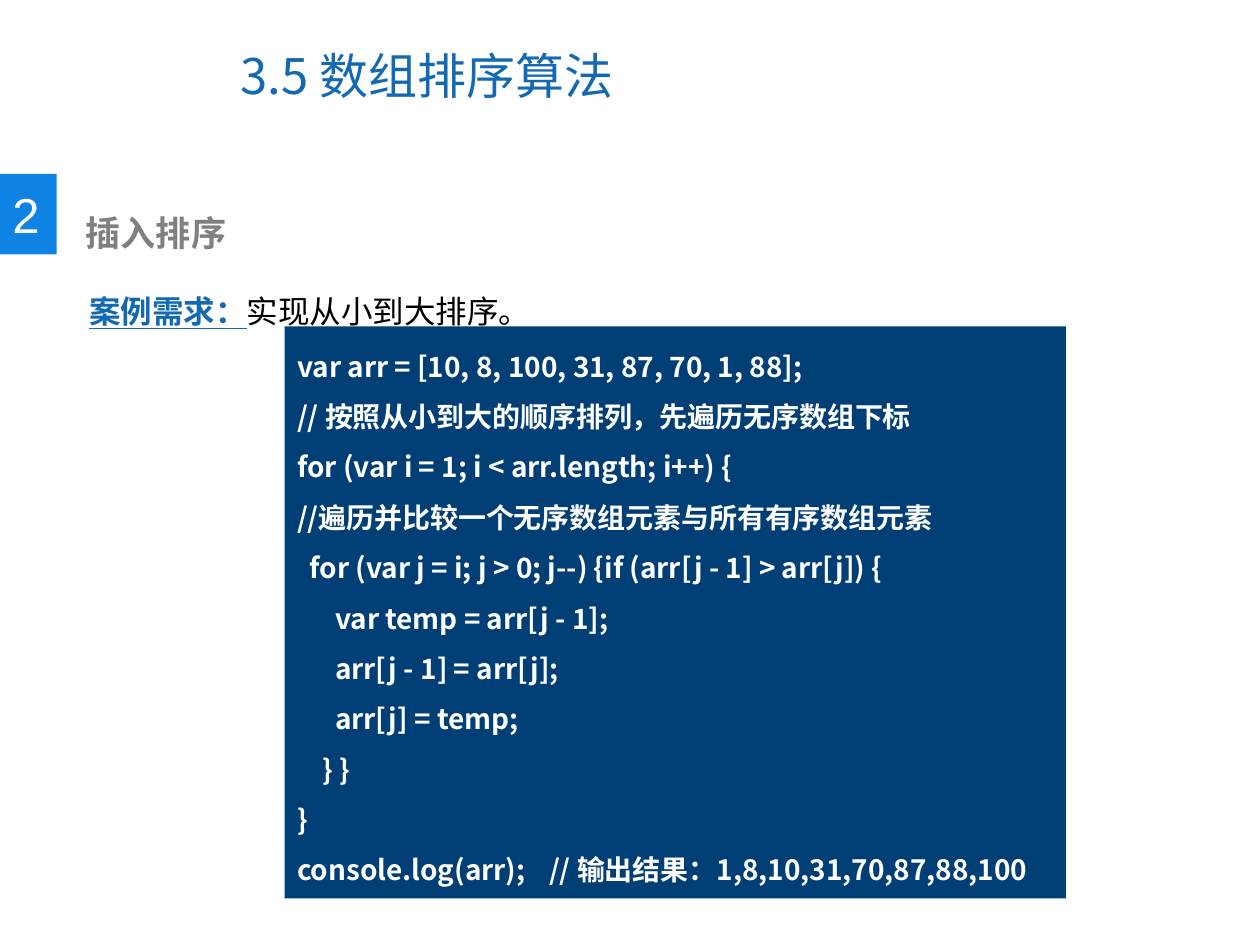
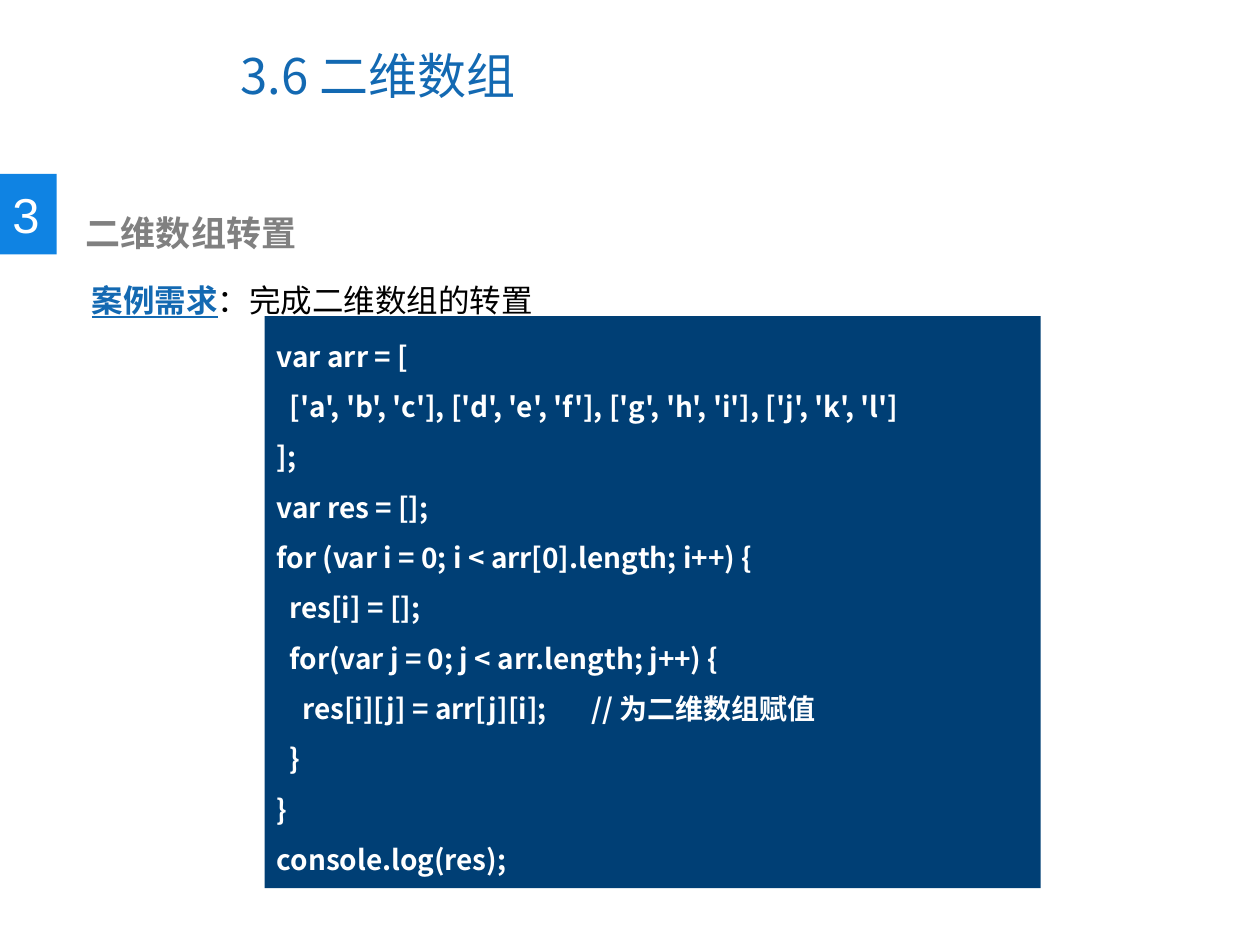
import pptx
import pptx.util
import pptx.dml.color
import pptx.enum.shapes
import pptx.enum.text
import pptx.oxml.ns
from lxml import etree

Pt = pptx.util.Pt
RECT = pptx.enum.shapes.MSO_SHAPE.RECTANGLE
LEFT = pptx.enum.text.PP_ALIGN.LEFT
TOP = pptx.enum.text.MSO_ANCHOR.TOP
MID = pptx.enum.text.MSO_ANCHOR.MIDDLE
GROW = pptx.enum.text.MSO_AUTO_SIZE.SHAPE_TO_FIT_TEXT
HAN = "Noto Sans CJK SC"
rgb = pptx.dml.color.RGBColor.from_string

# Shared colours
BLUE, BADGE, NAVY = "1369B2", "0F83E3", "003F75"
GREY, BLACK, WHITE = "808080", "000000", "FFFFFF"


def style(run, size, color, face=HAN, bold=False, line=False):
    font = run.font
    font.size, font.name = Pt(size), face
    font.bold, font.underline = bold, line
    font.color.rgb = rgb(color)
    tag = pptx.oxml.ns.qn("a:ea")
    etree.SubElement(font._element, tag).set("typeface", HAN)


def block(slide, box, fill=None):
    place = [Pt(v) for v in box]
    if fill:
        shape = slide.shapes.add_shape(RECT, *place)
        shape.shadow.inherit = False
        shape.fill.solid()
        shape.fill.fore_color.rgb = rgb(fill)
        shape.line.fill.background()
    else:
        shape = slide.shapes.add_textbox(*place)
    frame = shape.text_frame
    frame.word_wrap, frame.vertical_anchor = True, TOP
    return frame


# Slide content
sort_code = """var arr = [10, 8, 100, 31, 87, 70, 1, 88];
// 按照从小到大的顺序排列，先遍历无序数组下标
for (var i = 1; i < arr.length; i++) {
//遍历并比较一个无序数组元素与所有有序数组元素
  for (var j = i; j > 0; j--) {if (arr[j - 1] > arr[j]) {
      var temp = arr[j - 1];
      arr[j - 1] = arr[j];
      arr[j] = temp;
    } }
}
console.log(arr);\t// 输出结果：1,8,10,31,70,87,88,100"""

turn_code = """var arr = [
  ['a', 'b', 'c'], ['d', 'e', 'f'], ['g', 'h', 'i'], ['j', 'k', 'l']
];
var res = [];
for (var i = 0; i < arr[0].length; i++) {
  res[i] = [];
  for(var j = 0; j < arr.length; j++) {
    res[i][j] = arr[j][i];\t// 为二维数组赋值
  }
}
console.log(res);"""

pages = [
    ("3.5 数组排序算法", "2", "插入排序",
     "案例需求：", "实现从小到大排序。", (43.9, 141.8, 623, 51),
     sort_code, (162.7, 186.5, 446.4, 326.9)),
    ("3.6 二维数组", "3", "二维数组转置",
     "案例需求", "：完成二维数组的转置", (45.4, 135.4, 623, 44),
     turn_code, (151.2, 180.7, 443.5, 326.9)),
]

deck = pptx.Presentation()
deck.slide_width, deck.slide_height = Pt(720), Pt(540)

for head, num, topic, key, task, task_box, code, code_box in pages:
    slide = deck.slides.add_slide(deck.slide_layouts[5])

    # Title
    title = slide.shapes.title
    title.left, title.top = Pt(130.3), Pt(12.2)
    title.width, title.height = Pt(371.5), Pt(61.2)
    frame = title.text_frame
    frame.text = head
    frame.vertical_anchor = MID
    frame.paragraphs[0].alignment = LEFT
    style(frame.paragraphs[0].runs[0], 28, BLUE)

    # Numbered badge at the left edge
    block(slide, (0, 99.4, 32.4, 46), BADGE)
    frame = block(slide, (0, 102.2, 30.2, 41))
    frame.word_wrap = False
    frame.text = num
    style(frame.paragraphs[0].runs[0], 28, WHITE, "Arial")

    # Topic
    frame = block(slide, (42, 117.4, 362, 31.7))
    frame.text = topic
    style(frame.paragraphs[0].runs[0], 20, GREY, "Arial", True)

    # Task line
    para = block(slide, task_box).paragraphs[0]
    para.line_spacing = 2.0
    for text, color, strong in ((key, BLUE, True), (task, BLACK, False)):
        run = para.add_run()
        run.text = text
        style(run, 18, color, "Arial", strong, strong)

    # Code panel
    frame = block(slide, code_box, NAVY)
    frame.auto_size = GROW
    frame.text = code
    for para in frame.paragraphs:
        para.alignment, para.line_spacing = LEFT, 1.5
        style(para.runs[0], 16, WHITE, bold=True)

deck.save("out.pptx")
